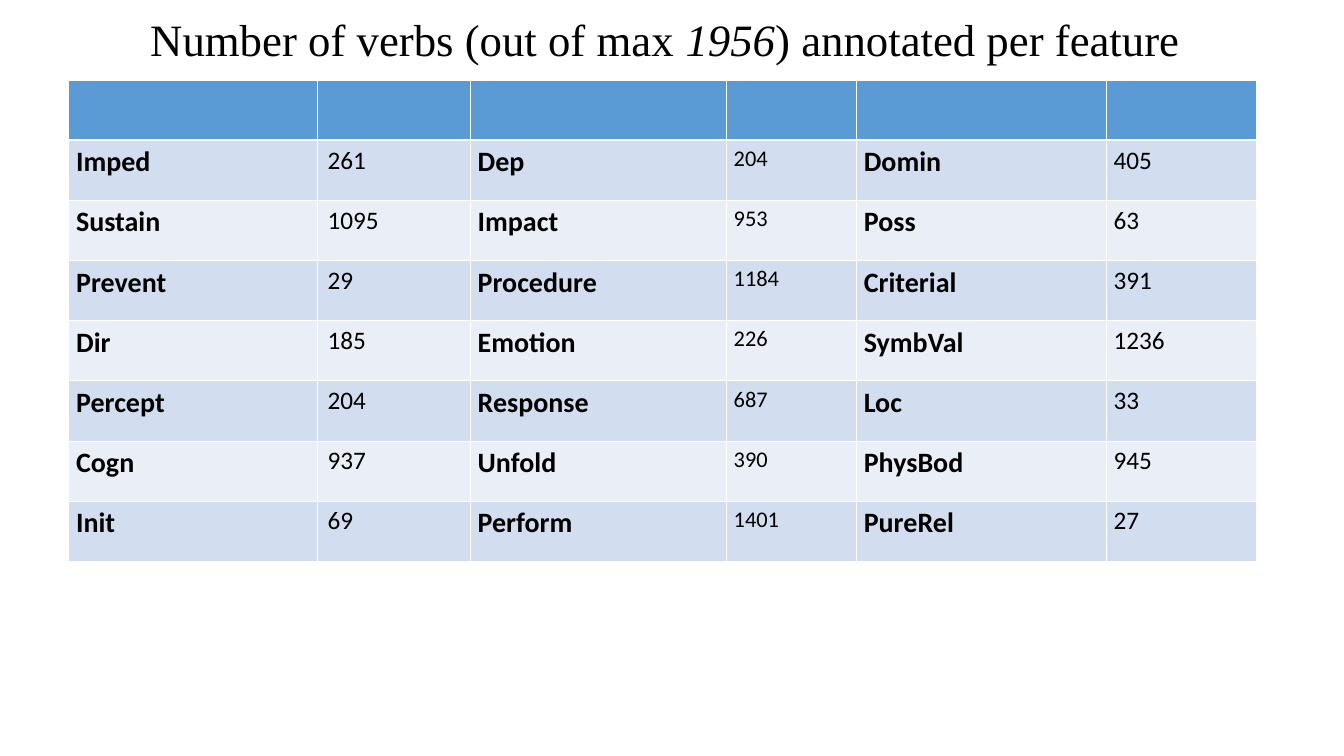
import pptx
import pptx.dml.color
import pptx.enum.text
import pptx.oxml
import pptx.oxml.ns
import pptx.util

Pt = pptx.util.Pt
ALIGN = pptx.enum.text.PP_ALIGN
ANCHOR = pptx.enum.text.MSO_ANCHOR

FEATURES = [
    ("Imped", 261, "Dep", 204, "Domin", 405),
    ("Sustain", 1095, "Impact", 953, "Poss", 63),
    ("Prevent", 29, "Procedure", 1184, "Criterial", 391),
    ("Dir", 185, "Emotion", 226, "SymbVal", 1236),
    ("Percept", 204, "Response", 687, "Loc", 33),
    ("Cogn", 937, "Unfold", 390, "PhysBod", 945),
    ("Init", 69, "Perform", 1401, "PureRel", 27),
]
COLUMN_WIDTHS = [178, 109, 183, 93, 178.5, 107.5]
COLUMN_SIZES = [20, 18, 20, 16, 20, 18]
COUNT_COLUMN = 1  # the first count column is left-aligned with a wider margin
ROW_HEIGHT = 43


def color(value):
    return pptx.dml.color.RGBColor.from_string(value)


def add_span(para, text, font="Calibri", size=18, fill="000000", bold=False, italic=False):
    span = para.add_run()
    span.text = text
    span.font.name = font
    span.font.size = Pt(size)
    span.font.color.rgb = color(fill)
    span.font.bold = bold
    span.font.italic = italic


def set_border(cell, side, width, line):
    """Draw one edge of a cell; side is L, R, T or B."""
    namespace = pptx.oxml.ns.nsdecls("a")
    edge = pptx.oxml.parse_xml(
        f'<a:ln{side} {namespace} w="{int(Pt(width))}"><a:solidFill>'
        f'<a:srgbClr val="{line}"/></a:solidFill></a:ln{side}>')
    cell._tc.get_or_add_tcPr().append(edge)


class FeatureSlide:
    header_fill = "5B9BD5"
    band_fills = ["EAEFF7", "D2DEEF"]
    border = "FFFFFF"
    thin, thick = 0.45, 1.47

    def __init__(self, deck):
        self.page = deck.slides.add_slide(deck.slide_layouts[6])

    def title(self, left, top, width, height, spans):
        box = self.page.shapes.add_textbox(Pt(left), Pt(top), Pt(width), Pt(height))
        frame = box.text_frame
        frame.word_wrap = True
        frame.vertical_anchor = ANCHOR.BOTTOM
        para = frame.paragraphs[0]
        para.alignment = ALIGN.CENTER
        para.line_spacing = 0.9
        for text, italic in spans:
            add_span(para, text, font="Times New Roman", size=32, italic=italic)

    def table(self, left, top, rows):
        row_count = len(rows) + 1
        table = self.page.shapes.add_table(
            row_count, len(COLUMN_WIDTHS), Pt(left), Pt(top),
            Pt(sum(COLUMN_WIDTHS)), Pt(ROW_HEIGHT * row_count)).table
        table.horz_banding = False
        for column, width in zip(table.columns, COLUMN_WIDTHS):
            column.width = Pt(width)
        for row_index, row in enumerate(table.rows):
            row.height = Pt(ROW_HEIGHT)
            for column_index, cell in enumerate(row.cells):
                self.style_cell(cell, row_index)
                if row_index > 0:
                    self.fill_cell(cell, column_index, rows[row_index - 1][column_index])

    def style_cell(self, cell, row_index):
        widths = {"L": self.thin, "R": self.thin,
                  "T": self.thick if row_index == 1 else self.thin,
                  "B": self.thick if row_index == 0 else self.thin}
        for side, width in widths.items():
            set_border(cell, side, width, self.border)
        cell.fill.solid()
        band = self.band_fills[row_index % 2]
        cell.fill.fore_color.rgb = color(band if row_index else self.header_fill)

    def fill_cell(self, cell, column_index, value):
        is_first_count = column_index == COUNT_COLUMN
        cell.margin_left = cell.margin_right = Pt(7.2 if is_first_count else 5.4)
        cell.margin_top = cell.margin_bottom = Pt(3.6)
        para = cell.text_frame.paragraphs[0]
        para.alignment = ALIGN.LEFT if is_first_count else ALIGN.JUSTIFY
        add_span(para, str(value), size=COLUMN_SIZES[column_index],
                 bold=column_index % 2 == 0)


def main():
    deck = pptx.Presentation()
    deck.slide_width, deck.slide_height = Pt(960.5), Pt(540)
    slide = FeatureSlide(deck)
    slide.title(53.3, 11.5, 843.8, 39.6, [
        ("Number of verbs (out of max ", False),
        ("1956", True),
        (") annotated per feature", False),
    ])
    slide.table(49, 57, FEATURES)
    deck.save("out.pptx")


if __name__ == "__main__":
    main()
